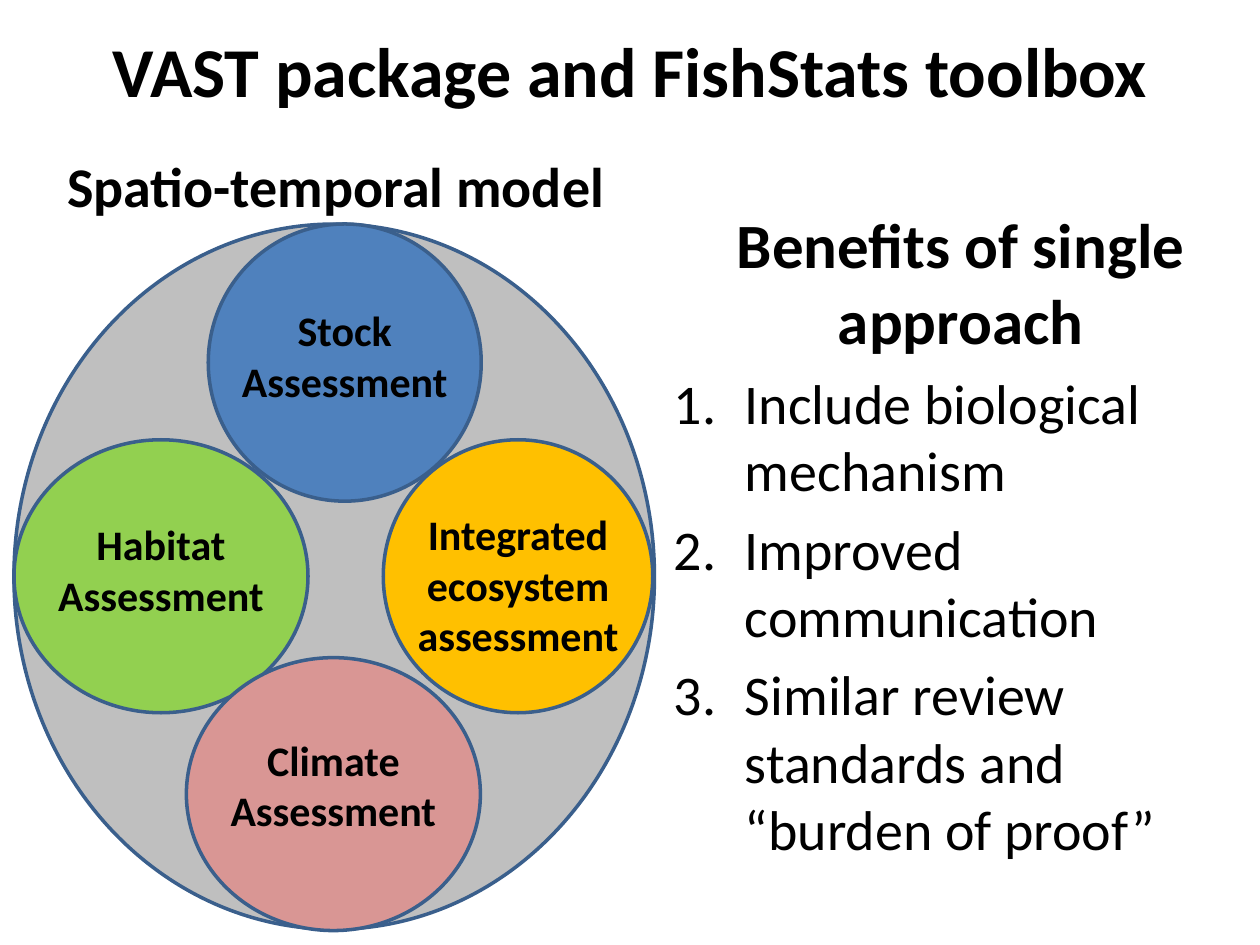
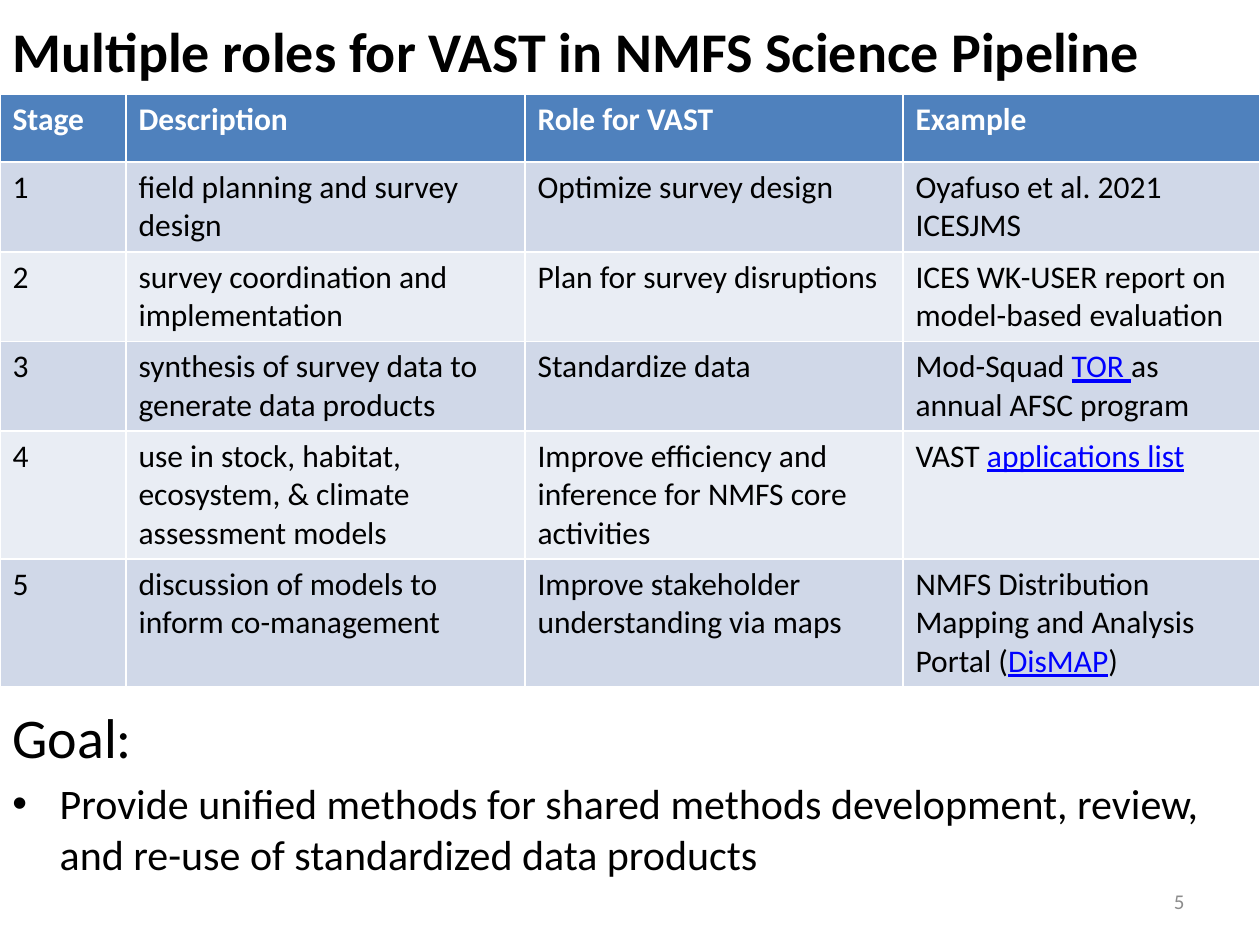
from dataclasses import dataclass

from lxml.etree import SubElement
from pptx import Presentation
from pptx.dml.color import RGBColor as RGB
from pptx.enum.shapes import MSO_SHAPE as Shape
from pptx.enum.text import MSO_ANCHOR as Anchor, MSO_AUTO_SIZE as AutoSize, PP_ALIGN as Align
from pptx.oxml.ns import qn
from pptx.util import Pt


@dataclass(frozen=True)
class Theme:
    font: str = "Calibri"
    black: RGB = RGB(0, 0, 0)
    white: RGB = RGB(255, 255, 255)
    blue: RGB = RGB(0x4F, 0x81, 0xBD)
    green: RGB = RGB(0x92, 0xD0, 0x50)
    amber: RGB = RGB(0xFF, 0xC0, 0x00)
    rose: RGB = RGB(0xD9, 0x96, 0x94)
    outline: RGB = RGB(0x3A, 0x5F, 0x8C)
    bands: tuple = (RGB(0xD0, 0xD8, 0xE8), RGB(0xE9, 0xED, 0xF4))
    link: RGB = RGB(0, 0, 255)
    muted: RGB = RGB(0x8C, 0x8C, 0x8C)
    title: int = 40
    subtitle: int = 36
    heading: int = 32
    label: int = 24
    cell: int = 18
    footer: int = 12


theme = Theme()


def write_text(shape, text, size, bold=False, align=Align.LEFT, color=theme.black):
    """Fill the shape with one styled paragraph per line of text."""
    frame = shape.text_frame
    frame.text = text
    frame.word_wrap = True
    frame.auto_size = AutoSize.NONE
    frame.vertical_anchor = Anchor.TOP
    for paragraph in frame.paragraphs:
        paragraph.alignment = align
        for run in paragraph.runs:
            run.font.name = theme.font
            run.font.size = Pt(size)
            run.font.bold = bold
            run.font.color.rgb = color
    return frame


def make_list_item(paragraph, indent, space_before, bullet, **attributes):
    properties = paragraph._p.get_or_add_pPr()
    properties.set("marL", str(Pt(indent)))
    properties.set("indent", str(-Pt(indent)))
    SubElement(properties, qn("a:buFont"), typeface="Arial" if bullet == "a:buChar" else "+mj-lt")
    SubElement(properties, qn(bullet), **attributes)
    paragraph.space_before = Pt(space_before)


presentation = Presentation()
presentation.slide_width, presentation.slide_height = Pt(720), Pt(540)
title_only = presentation.slide_layouts[5]

titles = [
    ("VAST package and FishStats toolbox", (18, 12.2, 684, 55.7), theme.title, Align.CENTER),
    ("Multiple roles for VAST in NMFS Science Pipeline", (0, 6, 684, 46), theme.heading, Align.LEFT),
]
slides = []
for text, box, size, align in titles:
    slide = presentation.slides.add_slide(title_only)
    title = slide.shapes.title
    title.left, title.top, title.width, title.height = map(Pt, box)
    write_text(title, text, size, True, align)
    slides.append(slide)
model_slide, roles_slide = slides

# Spatio-temporal model and its benefits
heading = model_slide.shapes.add_textbox(Pt(24), Pt(82.8), Pt(336), Pt(46))
write_text(heading, "Spatio-temporal model", theme.heading, True, Align.CENTER)

benefits = [
    "Benefits of single approach",
    "Include biological mechanism",
    "Improved communication",
    "Similar review standards and “burden of proof”",
]
benefits_box = model_slide.shapes.add_textbox(Pt(378), Pt(114), Pt(342), Pt(400))
benefits_frame = write_text(benefits_box, "\n".join(benefits), theme.heading)
benefits_title, *benefit_items = benefits_frame.paragraphs
benefits_title.alignment = Align.CENTER
benefits_title.runs[0].font.size = Pt(theme.subtitle)
benefits_title.runs[0].font.bold = True
for paragraph in benefit_items:
    make_list_item(paragraph, 40.5, 6.5, "a:buAutoNum", type="arabicPeriod")

# Outer ellipse first, then the assessments with the top of each label
ellipses = [
    ((8, 128, 366, 403), theme.black, None, None),
    ((8, 251.3, 168, 156), theme.green, "Habitat Assessment", 293),
    ((119, 128, 156, 158.4), theme.blue, "Stock Assessment", 170.6),
    ((219, 251.3, 154, 156), theme.amber, "Integrated ecosystem assessment", 287.3),
    ((106.5, 375.8, 168, 156), theme.rose, "Climate Assessment", 416.2),
]
for box, color, label, label_top in ellipses:
    left, top, width, height = map(Pt, box)
    ellipse = model_slide.shapes.add_shape(Shape.OVAL, left, top, width, height)
    ellipse.shadow.inherit = False
    ellipse.fill.solid()
    ellipse.fill.fore_color.rgb = color
    ellipse.line.color.rgb = theme.outline
    ellipse.line.width = Pt(2)
    if label:
        label_box = model_slide.shapes.add_textbox(left, Pt(label_top), width, Pt(66))
        write_text(label_box, label, theme.label, True, Align.CENTER)
    else:
        solid_color = ellipse._element.spPr.find(qn("a:solidFill"))[0]
        SubElement(solid_color, qn("a:alpha"), val="25000")

# Roles table: in a cell made of several parts, every second part is a link
column_widths = [72, 228, 216, 204]
row_heights = [38.7, 51.2, 51.2, 51.2, 73.2, 73.2]
rows = [
    ("Stage", "Description", "Role for VAST", "Example"),
    ("1", "field planning and survey design", "Optimize survey design",
     "Oyafuso et al. 2021 ICESJMS"),
    ("2", "survey coordination and implementation", "Plan for survey disruptions",
     "ICES WK-USER report on model-based evaluation"),
    ("3", "synthesis of survey data to generate data products", "Standardize data",
     ("Mod-Squad ", "TOR ", "as annual AFSC program")),
    ("4", "use in stock, habitat, ecosystem, & climate assessment models",
     "Improve efficiency and inference for NMFS core activities",
     ("VAST ", "applications list")),
    ("5", "discussion of models to inform co-management",
     "Improve stakeholder understanding via maps",
     ("NMFS Distribution Mapping and Analysis Portal (", "DisMAP", ")")),
]
table = roles_slide.shapes.add_table(
    len(rows), len(column_widths), Pt(0), Pt(54), Pt(720), Pt(sum(row_heights))).table
for column, width in zip(table.columns, column_widths):
    column.width = Pt(width)
for row_index, (row, height) in enumerate(zip(rows, row_heights)):
    table.rows[row_index].height = Pt(height)
    is_header = row_index == 0
    for column_index, content in enumerate(row):
        cell = table.cell(row_index, column_index)
        cell.fill.solid()
        cell.fill.fore_color.rgb = theme.blue if is_header else theme.bands[(row_index - 1) % 2]
        parts = (content,) if isinstance(content, str) else content
        for part_index, part in enumerate(parts):
            is_link = part_index % 2 == 1
            run = cell.text_frame.paragraphs[0].add_run()
            run.text = part
            run.font.name = theme.font
            run.font.size = Pt(theme.cell)
            run.font.bold = is_header
            run.font.underline = is_link
            run.font.color.rgb = theme.white if is_header else theme.link if is_link else theme.black

goal_box = roles_slide.shapes.add_textbox(Pt(0), Pt(398), Pt(708), Pt(120))
goal_text = ("Goal:\nProvide unified methods for shared methods development, review, "
             "and re-use of standardized data products")
goal_item = write_text(goal_box, goal_text, theme.heading).paragraphs[1]
goal_item.runs[0].font.size = Pt(theme.label)
make_list_item(goal_item, 27, 4.5, "a:buChar", char="•")

number_box = roles_slide.shapes.add_textbox(Pt(516), Pt(500.4), Pt(168), Pt(28.8))
number_frame = write_text(number_box, "5", theme.footer, align=Align.RIGHT, color=theme.muted)
number_frame.vertical_anchor = Anchor.MIDDLE

presentation.save("out.pptx")
